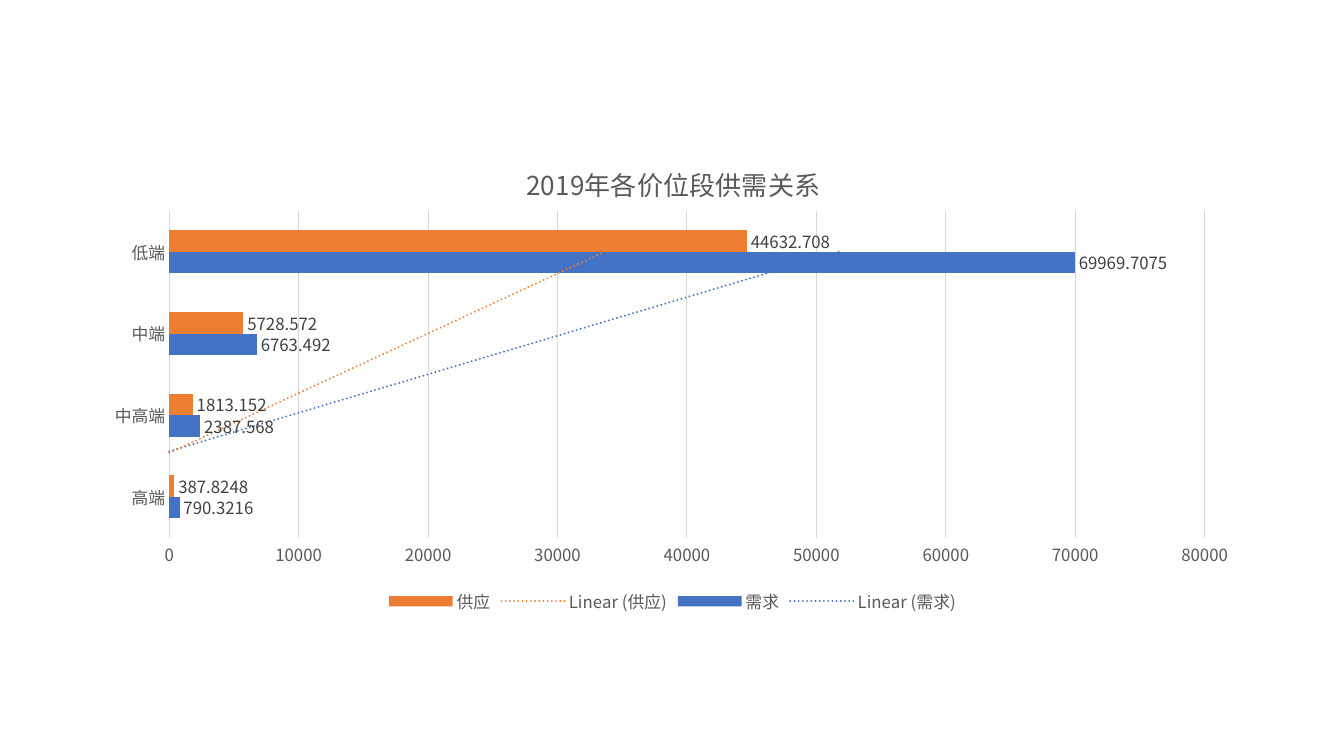
"""Build a slide with a bar chart of 2019 supply and demand by price segment."""
from lxml.etree import SubElement
from pptx import Presentation
from pptx.chart.data import CategoryChartData
from pptx.dml.color import RGBColor
from pptx.enum.chart import XL_CHART_TYPE, XL_LABEL_POSITION, XL_LEGEND_POSITION, XL_TICK_MARK
from pptx.oxml import parse_xml
from pptx.oxml.ns import nsdecls, qn
from pptx.util import Inches, Pt

TYPEFACE = "Noto Sans CJK SC"
GRID = "D9D9D9"
SEGMENTS = ["高端", "中高端", "中端", "低端"]
MARKET = {
    "需求": ("4472C4", [790.3216, 2387.568, 6763.492, 69969.7075]),
    "供应": ("ED7D31", [387.8248, 1813.152, 5728.572, 44632.708]),
}


def rgb(color):
    return RGBColor.from_string(color)


def manual_layout(**values):
    layout = parse_xml(f"<c:layout {nsdecls('c')}><c:manualLayout/></c:layout>")
    for tag, value in values.items():
        SubElement(layout[0], qn(f"c:{tag}")).set("val", str(value))
    return layout


deck = Presentation()
deck.slide_width, deck.slide_height = Inches(13.33), Inches(7.5)
slide = deck.slides.add_slide(deck.slide_layouts[6])

data = CategoryChartData(number_format="General")
data.categories = SEGMENTS
for name, (color, volumes) in MARKET.items():
    data.add_series(name, volumes)
chart = slide.shapes.add_chart(
    XL_CHART_TYPE.BAR_CLUSTERED,
    Inches(0.92), Inches(1.37), Inches(11.5), Inches(4.76), data,
).chart

chart.has_title = True
heading = chart.chart_title.text_frame
heading.text = "2019年各价位段供需关系"
chart.has_legend = True
chart.legend.position = XL_LEGEND_POSITION.BOTTOM
chart.legend.include_in_layout = False

segments, volume = chart.category_axis, chart.value_axis
for axis in (segments, volume):
    axis.major_tick_mark = axis.minor_tick_mark = XL_TICK_MARK.NONE
volume.minimum_scale, volume.maximum_scale, volume.major_unit = 0, 80000, 10000
volume.has_major_gridlines = True
volume.format.line.fill.background()
for line in (segments.format.line, volume.major_gridlines.format.line):
    line.color.rgb = rgb(GRID)
    line.width = Pt(0.75)

bars = chart.plots[0]
for key, value in {"gap_width": 182, "overlap": 0, "vary_by_categories": False}.items():
    setattr(bars, key, value)

fonts = [
    (chart.font, 10, "000000"),
    (heading.paragraphs[0].runs[0].font, 18.6, "595959"),
    (chart.legend.font, 12, "595959"),
    (segments.tick_labels.font, 12, "595959"),
    (volume.tick_labels.font, 12, "595959"),
]
for series in bars.series:
    color = MARKET[series.name][0]
    series.format.fill.solid()
    series.format.fill.fore_color.rgb = rgb(color)
    series.invert_if_negative = False
    labels = series.data_labels
    labels.show_value = True
    labels.position = XL_LABEL_POSITION.OUTSIDE_END
    fonts.append((labels.font, 12, "404040"))
    trend = parse_xml(
        f'<c:trendline {nsdecls("c", "a")}><c:spPr><a:ln w="{Pt(1.5)}" cap="rnd">'
        f'<a:solidFill><a:srgbClr val="{color}"/></a:solidFill><a:prstDash val="sysDot"/>'
        '</a:ln></c:spPr><c:trendlineType val="linear"/><c:dispRSqr val="0"/>'
        '<c:dispEq val="0"/></c:trendline>'
    )
    series.format.element.find(qn("c:cat")).addprevious(trend) if hasattr(
        series.format, "element") else bars.series[series.index]._element.find(
        qn("c:cat")).addprevious(trend)

for font, size, color in fonts:
    for key, value in {"name": TYPEFACE, "size": Pt(size), "bold": False}.items():
        setattr(font, key, value)
    font.color.rgb = rgb(color)

root = chart.element
for latin in list(root.iter(qn("a:latin"))):
    latin.addnext(parse_xml(f'<a:ea {nsdecls("a")} typeface="{TYPEFACE}"/>'))

title, plot_area = root.find(".//" + qn("c:title")), root.find(".//" + qn("c:plotArea"))
for part in (title, plot_area):
    for layout in part.findall(qn("c:layout")):
        part.remove(layout)
title.find(qn("c:tx")).addnext(manual_layout(xMode="edge", yMode="edge", x=0.37, y=0.04))
plot_area.insert(0, manual_layout(
    layoutTarget="inner", xMode="edge", yMode="edge", x=0.066, y=0.152, w=0.893, h=0.681))

deck.save("out.pptx")
